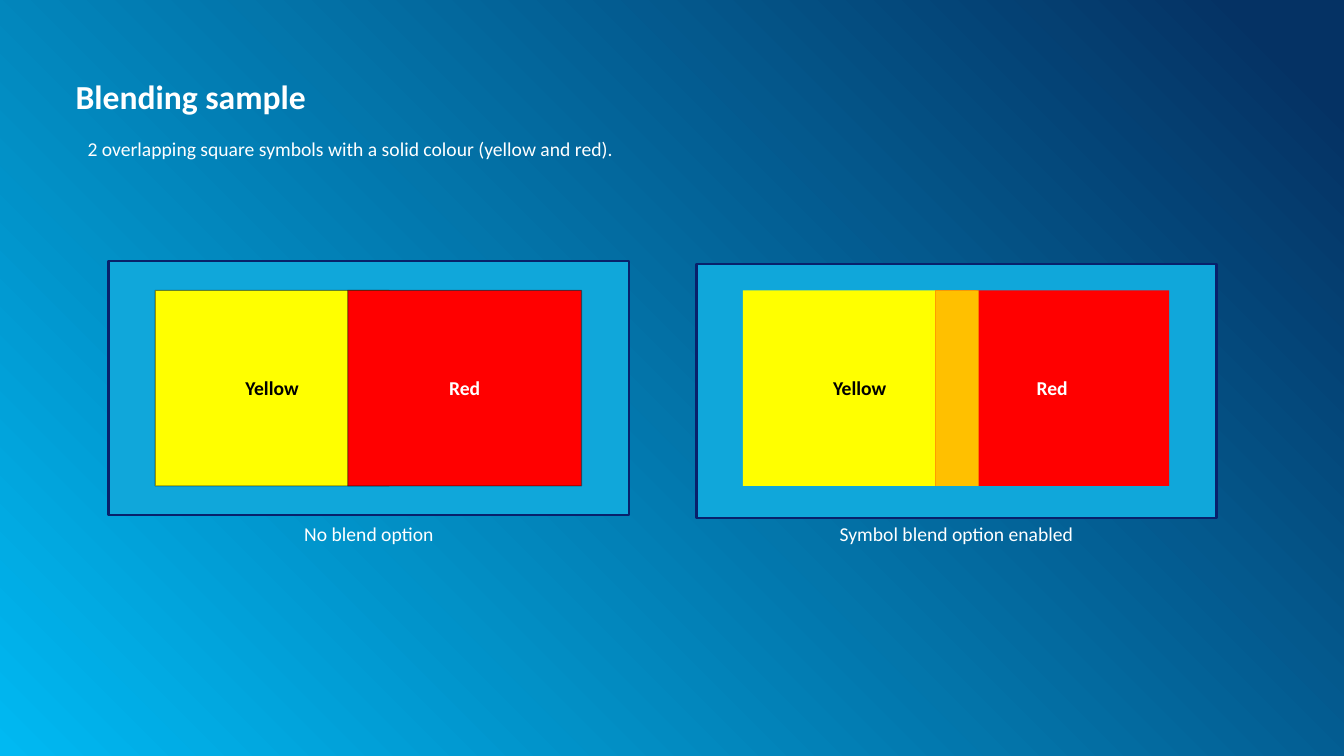
from dataclasses import dataclass

from lxml import etree
from pptx import Presentation
from pptx.dml.color import RGBColor
from pptx.enum.shapes import MSO_SHAPE
from pptx.enum.text import MSO_ANCHOR, PP_ALIGN
from pptx.oxml.ns import qn
from pptx.util import Pt

RECT = MSO_SHAPE.RECTANGLE
MIDDLE = MSO_ANCHOR.MIDDLE
LEFT, CENTER = PP_ALIGN.LEFT, PP_ALIGN.CENTER


@dataclass
class Theme:
    font: str = "Calibri"
    title: int = 24
    body: int = 14
    sky: str = "00B9F2"
    night: str = "053264"
    panel: str = "10A7DA"
    frame: str = "08216B"
    yellow: str = "FFFF00"
    red: str = "FF0000"
    blend: str = "FFC000"
    black: str = "000000"
    white: str = "FFFFFF"


theme = Theme()
deck = Presentation()
deck.slide_width, deck.slide_height = Pt(960), Pt(540)
slide = deck.slides.add_slide(deck.slide_layouts[6])

fill = slide.background.fill
fill.gradient()
stops = zip(fill.gradient_stops, (theme.sky, theme.night), (0, 0.95))
for stop, color, place in stops:
    stop.color.rgb = RGBColor.from_string(color)
    stop.position = place
lin = next(slide.element.iter(qn("a:lin")))
path = etree.Element(qn("a:path"), path="circle")
etree.SubElement(path, qn("a:fillToRect"), t="100000", r="100000")
lin.getparent().replace(lin, path)


def add_text(text, x, y, w, h, size=theme.body, bold=False, align=LEFT):
    frame = slide.shapes.add_textbox(Pt(x), Pt(y), Pt(w), Pt(h)).text_frame
    frame.word_wrap = True
    frame.margin_left = frame.margin_right = 0
    frame.margin_top = frame.margin_bottom = 0
    line = frame.paragraphs[0]
    line.text, line.alignment = text, align
    line.font.name, line.font.size, line.font.bold = theme.font, Pt(size), bold
    line.font.color.rgb = RGBColor.from_string(theme.white)


def add_box(x, y, w, h, color, edge=None, width=0, text="", ink=theme.white):
    box = slide.shapes.add_shape(RECT, Pt(x), Pt(y), Pt(w), Pt(h))
    box.shadow.inherit = False
    box.fill.solid()
    box.fill.fore_color.rgb = RGBColor.from_string(color)
    if edge:
        box.line.color.rgb = RGBColor.from_string(edge)
        box.line.width = Pt(width)
    else:
        box.line.fill.background()
    if text:
        frame = box.text_frame
        frame.word_wrap, frame.vertical_anchor = False, MIDDLE
        line = frame.paragraphs[0]
        line.text, line.alignment = text, CENTER
        line.font.name, line.font.size = theme.font, Pt(theme.body)
        line.font.bold = True
        line.font.color.rgb = RGBColor.from_string(ink)
    return box


add_text("Blending sample", 54, 54, 852.5, 28.8, theme.title, True)
add_text("2 overlapping square symbols with a solid colour (yellow and red).",
         62.6, 97.9, 417.6, 24.5)

panel_w, panel_h = 371.5, 181.4
top, side, tall, step = 207.4, 167, 139.7, 137.5
panels = (
    (77.8, 186.5, "No blend option", False),
    (497.5, 188.6, "Symbol blend option enabled", True),
)
squares = (
    ("Yellow", theme.yellow, theme.black),
    ("Red", theme.red, theme.white),
)
for x, y, label, mixed in panels:
    add_box(x, y, panel_w, panel_h, theme.panel, theme.frame, 2)
    start = x + 33.1
    for i, (name, color, ink) in enumerate(squares):
        edge = None if mixed else theme.black
        box = add_box(start + i * step, top, side, tall, color, edge, 0.75,
                      name, ink)
        if edge:
            tint = box.line._ln.find(".//" + qn("a:srgbClr"))
            etree.SubElement(tint, qn("a:alpha"), val="41000")
    if mixed:
        add_box(start + step, top, 31, tall, theme.blend)
    add_text(label, x, 373, panel_w, 24.5, align=CENTER)

deck.save("out.pptx")
